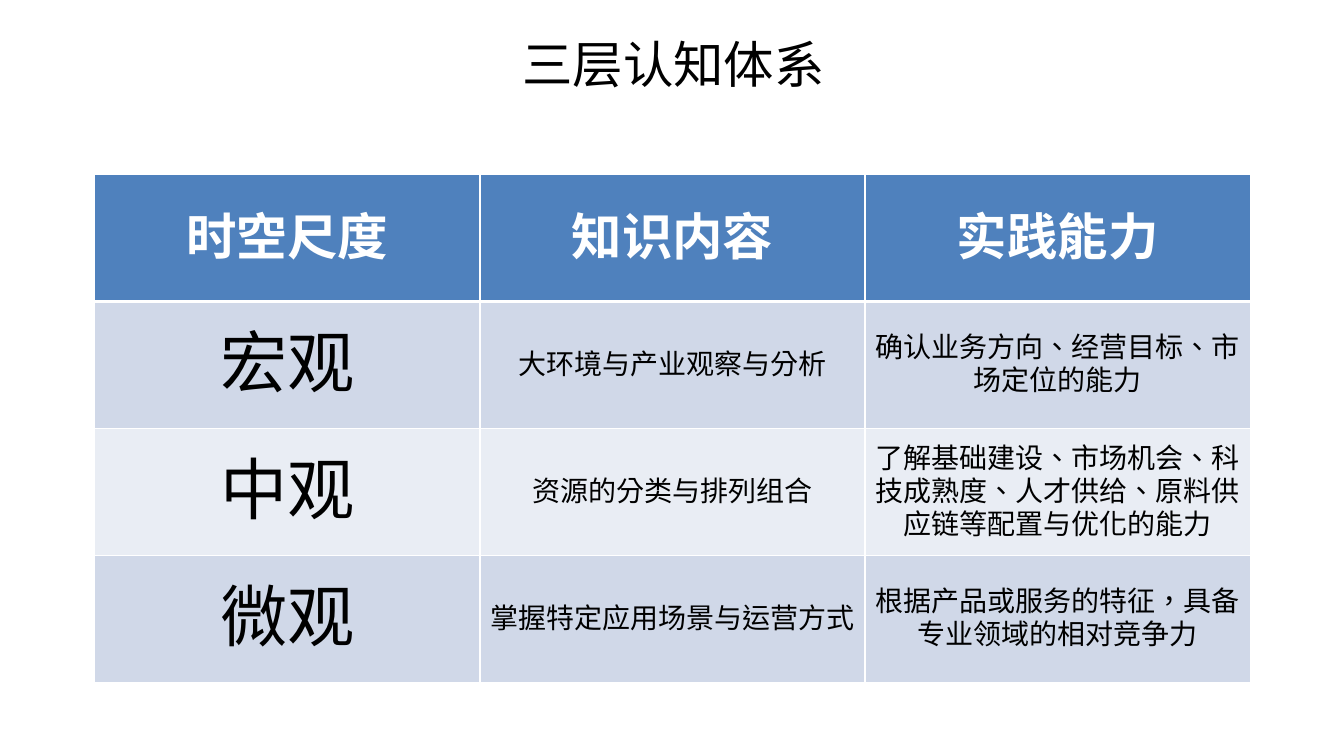
from lxml.etree import SubElement
from pptx import Presentation
from pptx.dml.color import RGBColor
from pptx.enum.lang import MSO_LANGUAGE_ID
from pptx.enum.text import MSO_ANCHOR, PP_ALIGN
from pptx.oxml.ns import qn
from pptx.util import Emu, Pt

COLORS = {
    "background": "FFFFFF",
    "text": "000000",
    "header": "4F81BD",
    "header_text": "FFFFFF",
    "odd_row": "D0D8E8",
    "even_row": "E9EDF4",
    "border": "FFFFFF",
}
TITLE_FONT = "Noto Sans CJK SC"
TABLE_FONT = "Roboto"
ROWS = [
    ["时空尺度", "知识内容", "实践能力"],
    ["宏观", "大环境与产业观察与分析", "确认业务方向、经营目标、市场定位的能力"],
    ["中观", "资源的分类与排列组合",
     "了解基础建设、市场机会、科技成熟度、人才供给、原料供应链等配置与优化的能力"],
    ["微观", "掌握特定应用场景与运营方式", "根据产品或服务的特征，具备专业领域的相对竞争力"],
]


def px(length):
    """Turn pixels, 100 to the inch, into EMU."""
    return Emu(length * 9144)


def color(name):
    return RGBColor.from_string(COLORS[name])


def write_text(text_frame, text, font, size, color_name="text", bold=False):
    paragraph = text_frame.paragraphs[0]
    paragraph.alignment = PP_ALIGN.CENTER
    run = paragraph.add_run()
    run.text = text
    run.font.size = Pt(size)
    run.font.bold = bold
    run.font.color.rgb = color(color_name)
    run.font.name = font
    run.font.language_id = MSO_LANGUAGE_ID.TRADITIONAL_CHINESE
    SubElement(run.font._element, qn("a:ea"), typeface=font)


def set_borders(cell, widths):
    """Draw cell borders; widths maps L, R, T and B to points."""
    properties = cell._tc.get_or_add_tcPr()
    for position, (side, width) in enumerate(widths.items()):
        line = SubElement(properties, qn(f"a:ln{side}"), w=str(Pt(width)))
        fill = SubElement(line, qn("a:solidFill"))
        SubElement(fill, qn("a:srgbClr"), val=COLORS["border"])
        properties.insert(position, line)


class SlideBuilder:
    def __init__(self, presentation):
        self.slide = presentation.slides.add_slide(presentation.slide_layouts[6])
        background = self.slide.background.fill
        background.solid()
        background.fore_color.rgb = color("background")

    def title(self, text, left, top, width, height):
        box = self.slide.shapes.add_textbox(px(left), px(top), px(width), px(height))
        box.text_frame.word_wrap = True
        box.text_frame.vertical_anchor = MSO_ANCHOR.MIDDLE
        write_text(box.text_frame, text, TITLE_FONT, 36)

    def table(self, rows, left, top, column_width, row_height):
        columns = len(rows[0])
        table = self.slide.shapes.add_table(
            len(rows), columns, px(left), px(top),
            px(column_width * columns), px(row_height * len(rows))).table
        for column in table.columns:
            column.width = px(column_width)
        for row_index, texts in enumerate(rows):
            table.rows[row_index].height = px(row_height)
            for column_index, text in enumerate(texts):
                self.cell(table.cell(row_index, column_index), text,
                          row_index, column_index)

    def cell(self, cell, text, row_index, column_index):
        is_header = row_index == 0
        cell.vertical_anchor = MSO_ANCHOR.MIDDLE
        cell.fill.solid()
        if is_header:
            cell.fill.fore_color.rgb = color("header")
            write_text(cell.text_frame, text, TABLE_FONT, 36, "header_text", bold=True)
        else:
            band = "odd_row" if row_index % 2 else "even_row"
            cell.fill.fore_color.rgb = color(band)
            write_text(cell.text_frame, text, TABLE_FONT, 20 if column_index else 48)
        set_borders(cell, {"L": 1, "R": 1, "T": 3 if row_index == 1 else 1,
                           "B": 3 if is_header else 1})


def main():
    presentation = Presentation()
    presentation.slide_width = px(1333)
    presentation.slide_height = px(750)
    builder = SlideBuilder(presentation)
    builder.title("三层认知体系", 177, 0, 982, 125)
    builder.table(ROWS, left=94, top=173, column_width=382, row_height=126)
    presentation.save("out.pptx")


if __name__ == "__main__":
    main()
